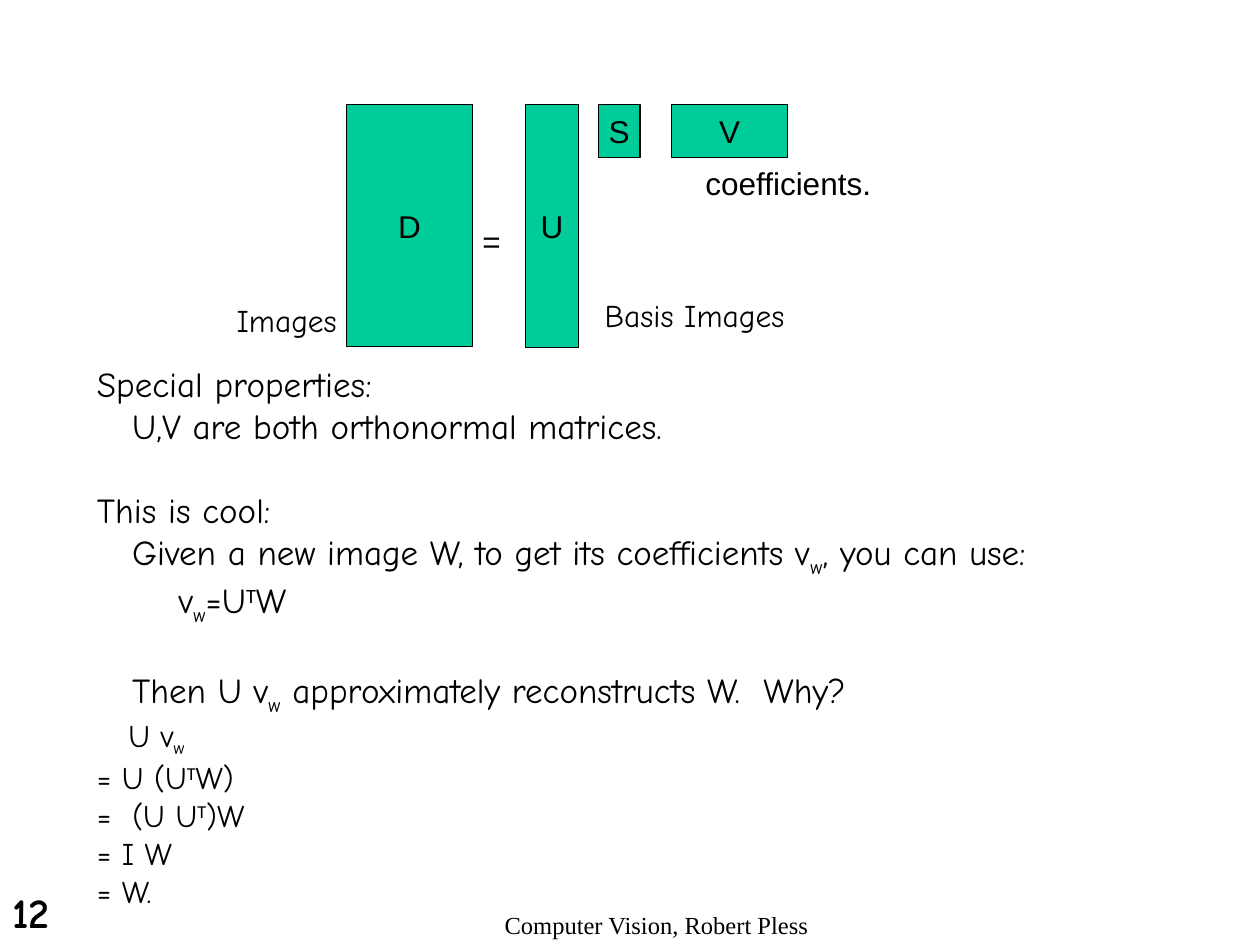
from dataclasses import dataclass

from pptx import Presentation
from pptx.dml.color import RGBColor
from pptx.enum.shapes import MSO_SHAPE
from pptx.enum.text import MSO_ANCHOR, PP_ALIGN
from pptx.slide import Slide
from pptx.util import Inches, Pt

COLORS = {"ink": "000000", "matrix": "00CC99"}
HAND, SANS, SERIF, SUPERSCRIPT = "Comic Neue", "Arial", "Times New Roman", "Calibri"


@dataclass
class Deck:
    slide: Slide
    size: float = 18

    def color(self, name):
        return RGBColor.from_string(COLORS[name])

    def style(self, paragraph, font, size, bold=False):
        paragraph.font.name = font
        paragraph.font.size = Pt(size)
        paragraph.font.bold = bold
        paragraph.font.color.rgb = self.color("ink")

    def add_runs(self, paragraph, pieces):
        """Write pieces as runs; a leading _ lowers a piece, a leading ^ raises it."""
        for piece in pieces:
            run = paragraph.add_run()
            run.text = piece.lstrip("_^")
            if piece[0] == "_":
                run._r.get_or_add_rPr().set("baseline", "-25000")
            elif piece[0] == "^":
                run._r.get_or_add_rPr().set("baseline", "30000")
                run.font.name = SUPERSCRIPT

    def matrix(self, name, left, width, height):
        box = self.slide.shapes.add_shape(
            MSO_SHAPE.RECTANGLE, Inches(left), Inches(0.83), Inches(width), Inches(height))
        box.shadow.inherit = False
        box.fill.solid()
        box.fill.fore_color.rgb = self.color("matrix")
        box.line.color.rgb = self.color("ink")
        box.line.width = Pt(0.75)
        frame = box.text_frame
        frame.word_wrap = False
        frame.vertical_anchor = MSO_ANCHOR.MIDDLE
        paragraph = frame.paragraphs[0]
        paragraph.text = name
        paragraph.alignment = PP_ALIGN.CENTER
        self.style(paragraph, SANS, self.size)

    def text_frame(self, left, top, width, height, wrap):
        box = self.slide.shapes.add_textbox(
            Inches(left), Inches(top), Inches(width), Inches(height))
        box.text_frame.word_wrap = wrap
        return box.text_frame

    def label(self, text, left, top, width, height=0.4, font=HAND, size=None,
              bold=False, align=PP_ALIGN.LEFT, wrap=False):
        paragraph = self.text_frame(left, top, width, height, wrap).paragraphs[0]
        paragraph.text = text
        paragraph.alignment = align
        self.style(paragraph, font, size or self.size, bold)

    def lines(self, rows, left, top, width, height, size):
        """Fill a box with rows of (indent in inches, points before, pieces)."""
        frame = self.text_frame(left, top, width, height, True)
        for number, (indent, before, pieces) in enumerate(rows):
            paragraph = frame.add_paragraph() if number else frame.paragraphs[0]
            properties = paragraph._p.get_or_add_pPr()
            properties.set("marL", str(Inches(indent)))
            properties.set("indent", "0")
            if before:
                paragraph.space_before = Pt(before)
            self.add_runs(paragraph, pieces)
            self.style(paragraph, HAND, size)


def main():
    presentation = Presentation()
    presentation.slide_width, presentation.slide_height = Inches(10), Inches(7.5)
    deck = Deck(presentation.slides.add_slide(presentation.slide_layouts[6]))

    deck.label("12", 0, 6.99, 1.08, 0.5, size=24, bold=True, wrap=True)
    deck.label("Computer Vision, Robert Pless", 0, 7.17, 10.42, 0.33,
               font=SERIF, size=14, align=PP_ALIGN.CENTER, wrap=True)

    for name, left, width, height in [("D", 2.75, 1, 1.92), ("U", 4.17, 0.42, 1.93),
                                      ("S", 4.75, 0.33, 0.42), ("V", 5.33, 0.92, 0.42)]:
        deck.matrix(name, left, width, height)
    deck.label("=", 3.73, 1.71, 0.36, font=SANS)
    deck.label("Images", 1.78, 2.34, 1.05)
    deck.label("Basis Images", 4.7, 2.3, 1.68)
    deck.label("coefficients.", 5.5, 1.25, 1.56, font=SANS)

    step, gap = 0.28, 24
    properties = [
        (0, 0, ["Special properties:"]),
        (step, 0, ["U,V are both orthonormal matrices."]),
        (0, gap, ["This is cool:"]),
        (step, 0, ["Given a new image W, to get its coefficients v", "_w", ", you can use:"]),
        (0.65, 0, ["v", "_w", "=U", "^T", "W"]),
        (step, gap, ["Then U v", "_w", " approximately reconstructs W.  Why?"]),
    ]
    deck.lines(properties, 0.67, 2.83, 9.08, 2.91, size=20)

    derivation = [
        (0.25, 0, ["U v", "_w"]),
        (0, 0, ["= U (U", "^T", "W)"]),
        (0, 0, ["=  (U U", "^T", ")W"]),
        (0, 0, ["= I W"]),
        (0, 0, ["= W."]),
    ]
    deck.lines(derivation, 0.67, 5.63, 8.26, 1.64, size=18)

    presentation.save("out.pptx")


if __name__ == "__main__":
    main()
